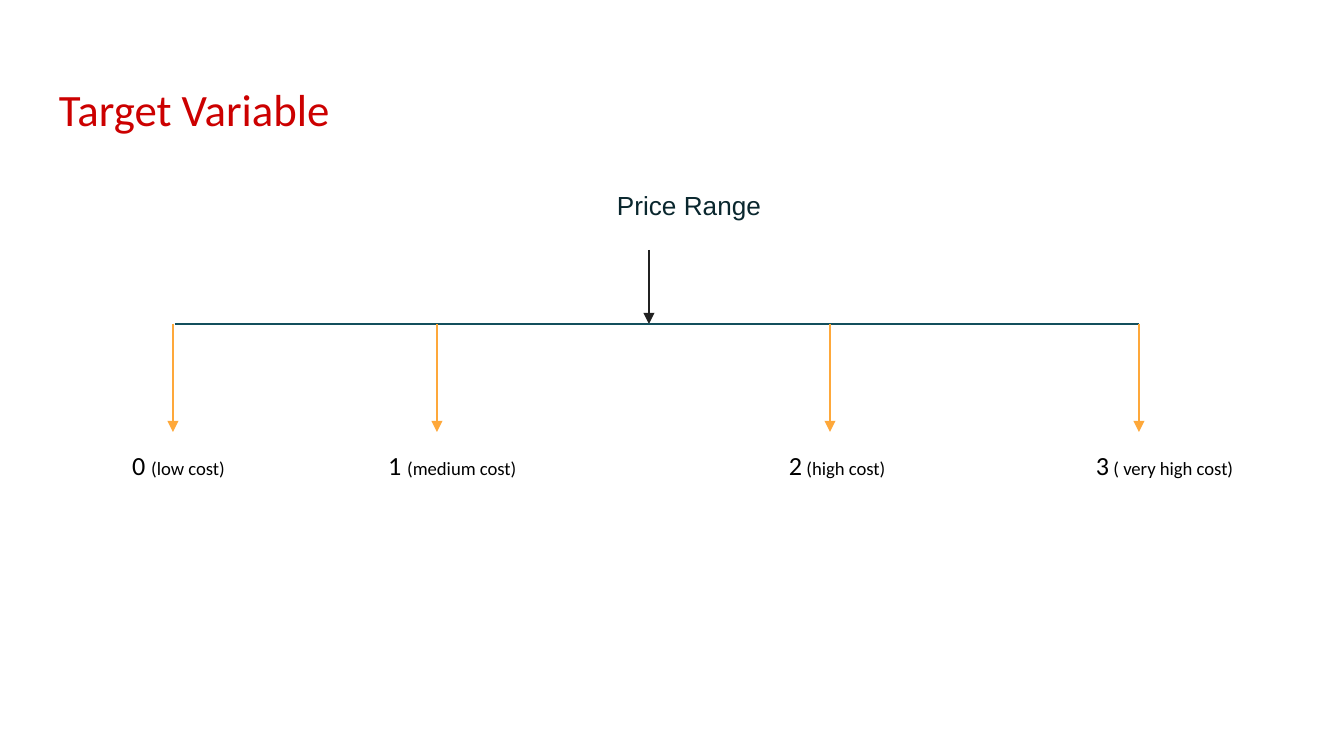
from typing import NamedTuple

from lxml import etree
from pptx import Presentation, util as u
from pptx.dml.color import RGBColor
from pptx.enum import shapes, text
from pptx.oxml.ns import qn

EMU_PER_PX = u.Inches(10) / 1344

RED = RGBColor(0xCC, 0x00, 0x00)
INK = RGBColor(0x0A, 0x27, 0x2E)
BLACK = RGBColor(0x00, 0x00, 0x00)
DARK = RGBColor(0x21, 0x21, 0x21)
TEAL = RGBColor(0x13, 0x4F, 0x5C)
ORANGE = RGBColor(0xFE, 0xA8, 0x3A)

BAR_Y = 324
BRANCH_END_Y = 432
LABEL_Y = 442


class Run(NamedTuple):
    words: str
    size: int


class Branch(NamedTuple):
    x: int
    label_x: int
    runs: list[Run]


BRANCHES = [
    Branch(173, 119, [Run("0 ", 14), Run("(low cost)", 10)]),
    Branch(437, 375, [Run("1 ", 14), Run("(medium cost)", 10)]),
    Branch(830, 776, [Run("2", 14), Run(" (high cost)", 10)]),
    Branch(1139, 1083, [Run("3", 14), Run(" ( very high cost)", 10)]),
]


def px(n: int) -> u.Emu:
    return u.Emu(round(n * EMU_PER_PX))


def add_text(slide, runs: list[Run], x: int, y: int, w: int, h: int, *,
             color: RGBColor, font: str = "Calibri", inset_y: int = 7,
             anchor=text.MSO_ANCHOR.TOP) -> None:
    sp = slide.shapes.add_textbox(px(x), px(y), px(w), px(h))
    tf = sp.text_frame
    tf.word_wrap = True
    tf.vertical_anchor = anchor
    tf.margin_left = tf.margin_right = px(13)
    tf.margin_top = tf.margin_bottom = px(inset_y)
    p = tf.paragraphs[0]
    for run in runs:
        r = p.add_run()
        r.text = run.words
        r.font.size = u.Pt(run.size)
        r.font.name = font
        r.font.color.rgb = color


def add_line(slide, x1: int, y1: int, x2: int, y2: int, color: RGBColor,
             arrow: bool = False) -> None:
    sp = slide.shapes.add_connector(
        shapes.MSO_CONNECTOR.STRAIGHT, px(x1), px(y1), px(x2), px(y2))
    sp.line.color.rgb = color
    sp.line.width = u.Pt(0.75)
    if arrow:
        etree.SubElement(sp.line._get_or_add_ln(), qn("a:tailEnd"), type="triangle")
    etree.SubElement(sp._element.spPr, qn("a:effectLst"))


def main() -> None:
    prs = Presentation()
    prs.slide_width, prs.slide_height = px(1344), px(756)
    slide = prs.slides.add_slide(prs.slide_layouts[6])

    add_text(slide, [Run("Target Variable", 24)], 46, 66, 1252, 85,
             color=RED, inset_y=13, anchor=text.MSO_ANCHOR.MIDDLE)
    add_text(slide, [Run("Price Range", 14)], 604, 176, 200, 56,
             color=INK, font="Arial", inset_y=13)

    add_line(slide, 649, 250, 649, BAR_Y, DARK, arrow=True)
    add_line(slide, 175, BAR_Y, BRANCHES[-1].x, BAR_Y, TEAL)
    for branch in BRANCHES:
        add_line(slide, branch.x, BAR_Y, branch.x, BRANCH_END_Y, ORANGE, arrow=True)
        add_text(slide, branch.runs, branch.label_x, LABEL_Y, 190, 46, color=BLACK)

    prs.save("out.pptx")


if __name__ == "__main__":
    main()
